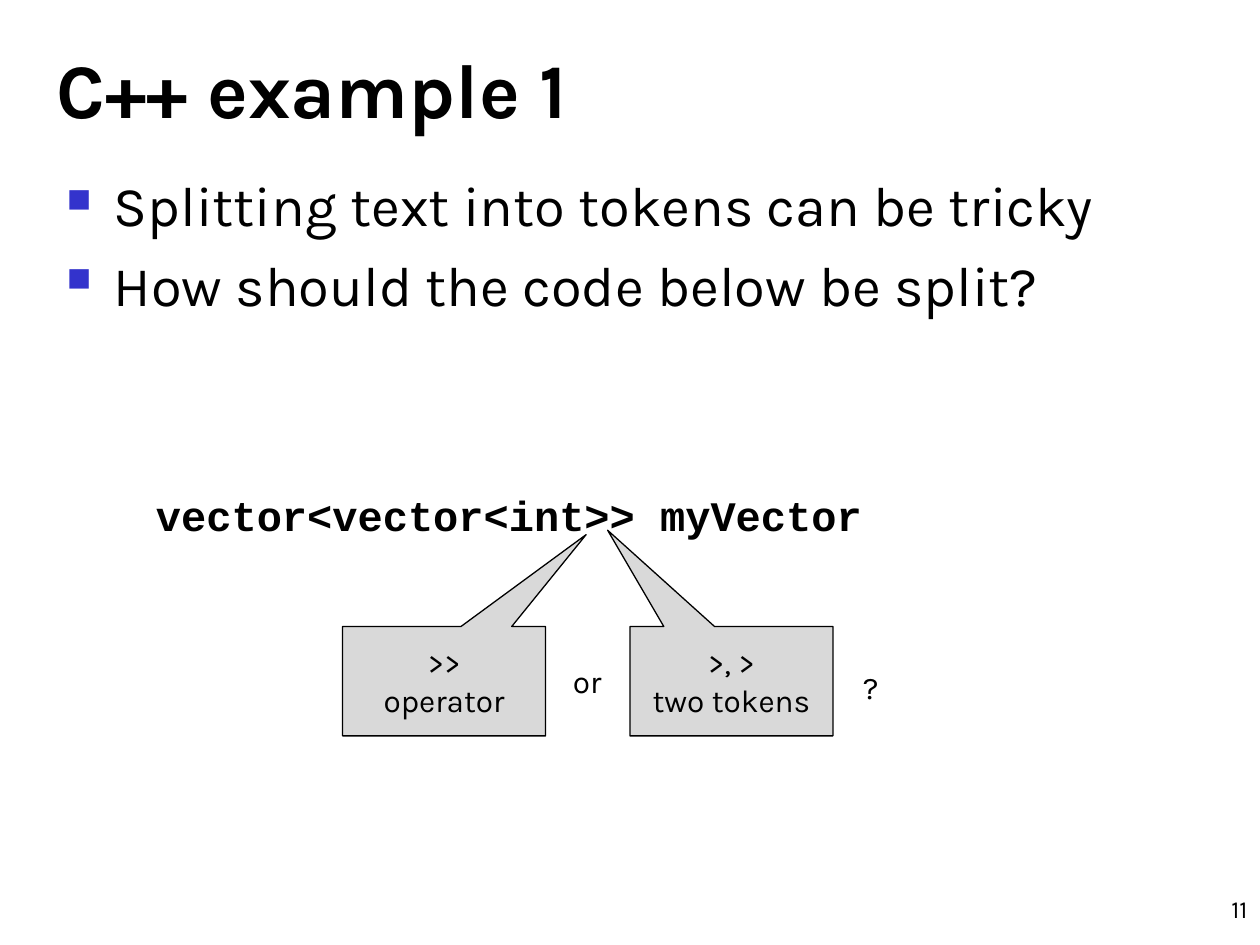
import pptx
import pptx.util
import pptx.dml.color
import pptx.enum.shapes
import pptx.enum.text
import pptx.oxml.ns
import lxml.etree

Pt = pptx.util.Pt
Align = pptx.enum.text.PP_ALIGN
Anchor = pptx.enum.text.MSO_ANCHOR
Shape = pptx.enum.shapes.MSO_SHAPE
HUES = {"ink": "000000", "box": "D9D9D9", "mark": "3333CC"}


def tint(name):
    """Return the named colour."""
    return pptx.dml.color.RGBColor.from_string(HUES[name])


class Page:
    """Hold the style and the current slide."""

    face = "Karla"

    def __init__(self, deck):
        """Add a title-only slide."""
        self.slide = deck.slides.add_slide(deck.slide_layouts[5])

    def label(self, shape, lines, size, face=None, bold=False,
              align=Align.LEFT, anchor=Anchor.TOP, wrap=True):
        """Fill a shape with styled text."""
        frame = shape.text_frame
        frame.text = "\n".join(lines)
        frame.auto_size = pptx.enum.text.MSO_AUTO_SIZE.NONE
        frame.word_wrap = wrap
        frame.vertical_anchor = anchor
        for para in frame.paragraphs:
            para.alignment = align
            para.font.name = face or self.face
            para.font.size = Pt(size)
            para.font.bold = bold
            para.font.color.rgb = tint("ink")
        return frame

    def title(self, text, x, y, w, h):
        """Place the title."""
        shape = self.slide.shapes.title
        shape.left, shape.top, shape.width, shape.height = map(Pt, (x, y, w, h))
        self.label(shape, [text], 44, bold=True, anchor=Anchor.BOTTOM)

    def text(self, lines, x, y, w, h, size, **style):
        """Add a text box."""
        shape = self.slide.shapes.add_textbox(Pt(x), Pt(y), Pt(w), Pt(h))
        return self.label(shape, lines, size, **style)

    def points(self, lines, x, y, w, h):
        """Add a list with square bullets."""
        space = pptx.oxml.ns.nsdecls("a")
        marks = (
            f'<a:buClr {space}><a:srgbClr val="{HUES["mark"]}"/></a:buClr>',
            f'<a:buSzPct {space} val="60000"/>',
            f'<a:buChar {space} char="\u25a0"/>',
        )
        for para in self.text(lines, x, y, w, h, 32).paragraphs:
            para.space_before = Pt(7)
            props = para._p.get_or_add_pPr()
            props.set("marL", str(Pt(27)))
            props.set("indent", str(Pt(-27)))
            rest = props.find(pptx.oxml.ns.qn("a:defRPr"))
            for mark in marks:
                rest.addprevious(lxml.etree.fromstring(mark))

    def callout(self, text, x, y, w, h, tip):
        """Add a callout with its tip offset from the centre."""
        shape = self.slide.shapes.add_shape(
            Shape.RECTANGULAR_CALLOUT, Pt(x), Pt(y), Pt(w), Pt(h))
        shape.adjustments[0], shape.adjustments[1] = tip
        shape.shadow.inherit = False
        shape.fill.solid()
        shape.fill.fore_color.rgb = tint("box")
        shape.line.color.rgb = tint("ink")
        shape.line.width = Pt(0.75)
        self.label(shape, [text], 18, align=Align.CENTER,
                   anchor=Anchor.MIDDLE, wrap=False)


deck = pptx.Presentation()
deck.slide_width, deck.slide_height = Pt(720), Pt(540)
page = Page(deck)
page.title("C++ example 1", 25, 15, 672, 65)
page.points(["Splitting text into tokens can be tricky",
             "How should the code below be split?"], 31, 94, 658, 111)
page.text(["11"], 660, 514, 60, 17, 14, align=Align.RIGHT, anchor=Anchor.BOTTOM)
page.text(["vector<vector<int>> myVector"], 82, 276, 538, 36, 24,
          face="Courier New", bold=True)
for text, x, tip in ((">>\voperator", 195.8, (0.7, -1.34)),
                     (">, >\vtwo tokens", 360, (-0.61, -1.38))):
    page.callout(text, x, 358, 116, 62.5, tip)
for text, x, y, w in (("or", 320, 375, 31), ("?", 486, 378, 23)):
    page.text([text], x, y, w, 29, 18, align=Align.CENTER, wrap=False)
deck.save("out.pptx")
